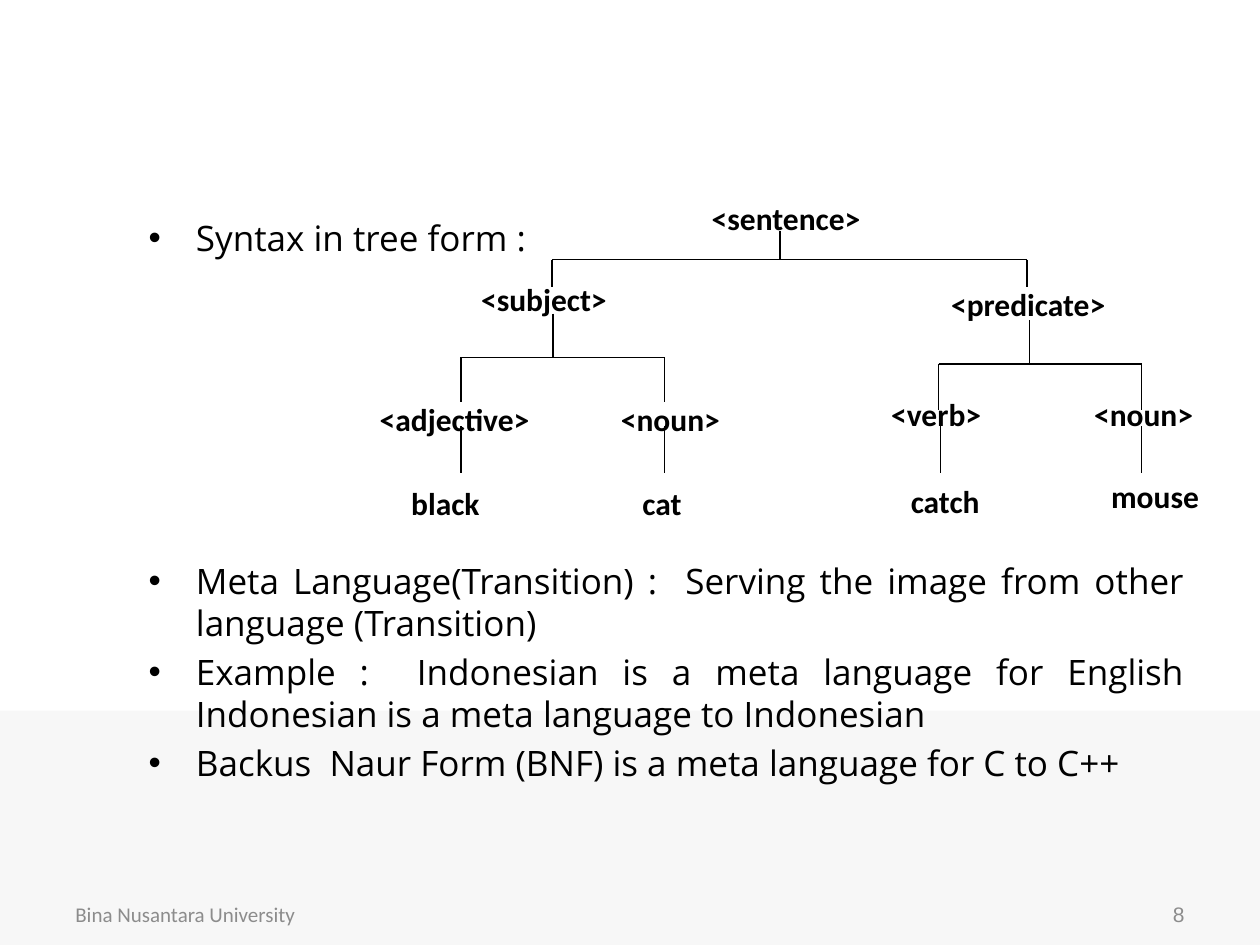
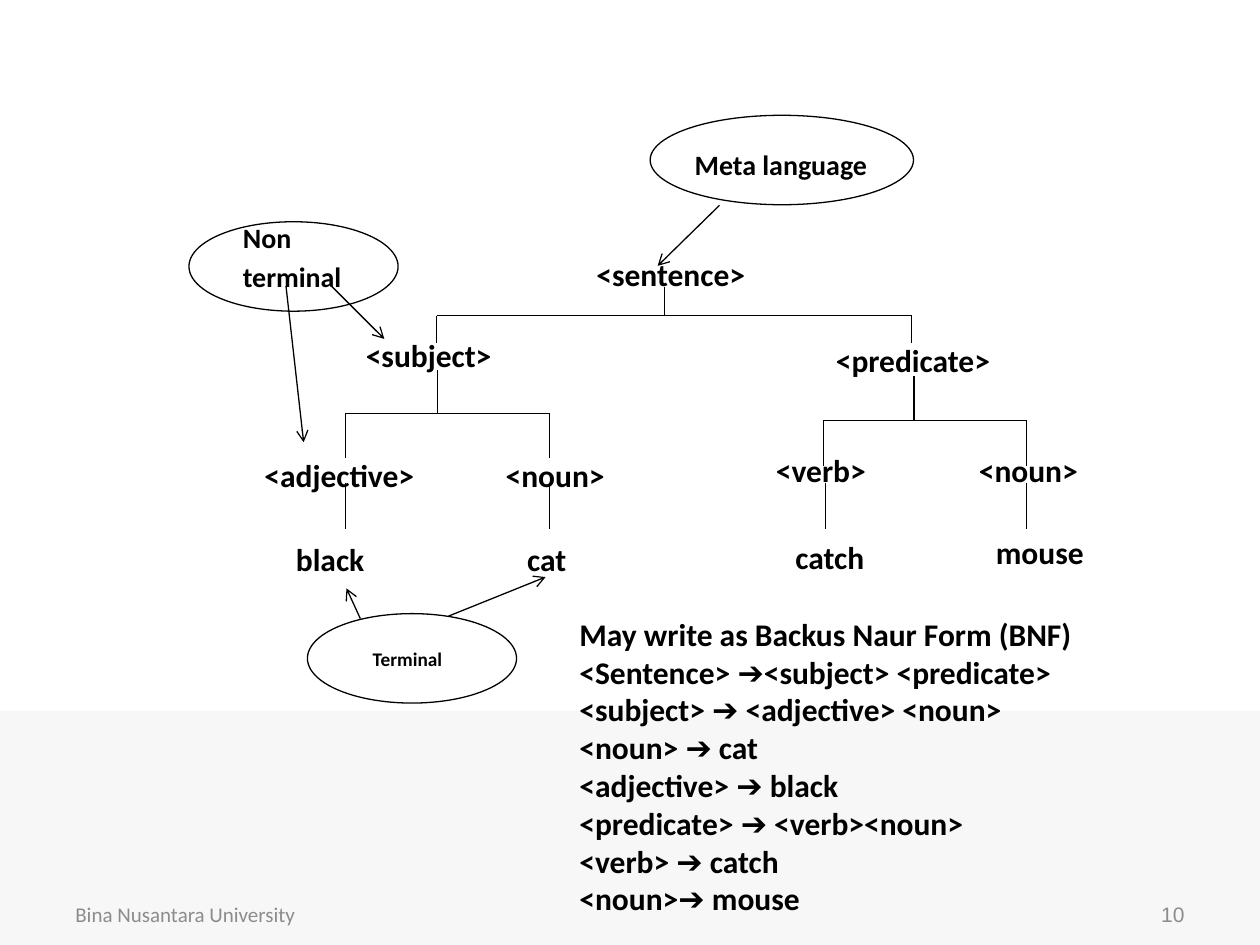
"""Build two slides that show a sentence's syntax tree and its Backus Naur Form."""
from dataclasses import dataclass

from lxml.etree import SubElement
from pptx import Presentation
from pptx.dml.color import RGBColor
from pptx.enum.shapes import MSO_CONNECTOR as Link, MSO_SHAPE as Preset
from pptx.enum.text import MSO_ANCHOR as Anchor, MSO_AUTO_SIZE as Fit, PP_ALIGN as Align
from pptx.oxml.ns import qn
from pptx.util import Inches, Pt

SLIDE_W, SLIDE_H = Inches(10), Inches(7.5)
COLUMNS, ROWS = 100, 75
INK, GREY, PALE = "000000", "8C8C8C", "F7F7F7"
HEADING, READING, NUMERALS = "Calibri", "Open Sans", "Arial"
LAYOUT_BULLETS, LAYOUT_BLANK = 1, 6


@dataclass(frozen=True)
class Area:
    left: float
    top: float
    width: float
    height: float

    def shifted(self, right: float, down: float) -> "Area":
        return Area(self.left + right, self.top + down, self.width, self.height)

    def emu(self) -> tuple:
        return col(self.left), row(self.top), col(self.width), row(self.height)


@dataclass(frozen=True)
class Label:
    words: str
    area: Area
    size: int = 18


@dataclass(frozen=True)
class Branch:
    stem: float
    top: float
    bar: float
    left: float
    right: float
    foot: float

    def strokes(self) -> list:
        drops = [(x, self.bar, x, self.foot) for x in (self.left, self.right)]
        return [(self.stem, self.top, self.stem, self.bar),
                (self.left, self.bar, self.right, self.bar), *drops]


@dataclass(frozen=True)
class Callout:
    oval: Area
    label: Label
    arrows: tuple


@dataclass(frozen=True)
class Point:
    words: str
    gap: int = 4
    align: Align = Align.JUSTIFY


SYMBOLS = (
    Label("<sentence>", Area(55.5, 14.85, 17.5, 1.8)),
    Label("<subject>", Area(37.2, 21.3, 14.6, 2.6)),
    Label("<predicate>", Area(74.5, 21.7, 17.5, 2.4)),
    Label("<adjective>", Area(29.15, 30.8, 15.1, 2.7)),
    Label("<noun>", Area(48.3, 30.8, 14.3, 3)),
    Label("<verb>", Area(69.75, 30.4, 10.3, 2.5)),
    Label("<noun>", Area(85.85, 30.4, 10.9, 2.4)),
    Label("black", Area(31.65, 37.5, 9.9, 4.7)),
    Label("cat", Area(50, 37.5, 6.1, 2.7)),
    Label("catch", Area(71.3, 37.3, 9.5, 4.1)),
    Label("mouse", Area(87.2, 36.95, 11.1, 4.4)),
)
BRANCHES = (
    Branch(61.9, 18.3, 20.6, 43.8, 81.5, 22.8),
    Branch(43.9, 24.9, 28.35, 36.6, 52.75, 31.9),
    Branch(81.7, 25.4, 28.9, 74.5, 90.6, 32.5),
)
WORD_STEMS, WORD_STEM_TOP, WORD_STEM_FOOT = (36.6, 52.75, 74.65, 90.6), 33.85, 37.5

CALLOUTS = (
    Callout(Area(51.6, 9.15, 20.9, 7.1),
            Label("Meta language", Area(54.15, 10.8, 19.2, 5.8), 16),
            ((57.1, 16.3, 52.2, 21.1),)),
    Callout(Area(15, 17.6, 16.6, 7.1),
            Label("Non terminal", Area(18.3, 16.65, 11, 2.6), 16),
            ((26.3, 22.7, 30.5, 26.9), (22.7, 22.7, 24.1, 35.1))),
    Callout(Area(24.4, 48.7, 16.6, 7.1),
            Label("Terminal", Area(28.6, 50.6, 8.6, 2.6), 11),
            ((28.6, 49.1, 27.5, 46.7), (35.6, 48.9, 43.3, 45.8))),
)
POINTS = (
    Point("Syntax in tree form :", 0, Align.LEFT),
    Point("Meta Language(Transition) :  Serving the image from other language (Transition)", 172),
    Point("Example :  Indonesian is a meta language for English\v"
          "Indonesian is a meta language to Indonesian"),
    Point("Backus  Naur Form (BNF) is a meta language for C to C++"),
)
GRAMMAR = (
    "May write as Backus Naur Form (BNF)",
    "<Sentence> ➔<subject> <predicate>",
    "<subject> ➔ <adjective> <noun>",
    "<noun> ➔ cat",
    "<adjective> ➔ black",
    "<predicate> ➔ <verb><noun>",
    "<verb> ➔ catch",
    "<noun>➔ mouse",
)


def col(count: float) -> int:
    return round(SLIDE_W * count / COLUMNS)


def row(count: float) -> int:
    return round(SLIDE_H * count / ROWS)


def colour(code: str) -> RGBColor:
    return RGBColor.from_string(code)


def style(paragraph, size: float, face: str, code: str = INK, bold: bool = False) -> None:
    font = paragraph.font
    font.size, font.name, font.bold = Pt(size), face, bold
    font.color.rgb = colour(code)


def add_text(slide, area: Area, words: str):
    frame = slide.shapes.add_textbox(*area.emu()).text_frame
    frame.word_wrap = True
    frame.text = words
    return frame


def add_label(slide, label: Label, right: float = 0, down: float = 0) -> None:
    paragraph = add_text(slide, label.area.shifted(right, down), label.words).paragraphs[0]
    paragraph.line_spacing, paragraph.space_after = 1.15, Pt(10)
    style(paragraph, label.size, HEADING, bold=True)


def add_stroke(slide, ends: tuple, right: float = 0, down: float = 0, arrow: bool = False) -> None:
    x1, y1, x2, y2 = ends
    stroke = slide.shapes.add_connector(Link.STRAIGHT, col(x1 + right), row(y1 + down),
                                        col(x2 + right), row(y2 + down))
    stroke.line.color.rgb, stroke.line.width = colour(INK), Pt(0.75)
    if arrow:
        SubElement(stroke.element.spPr.find(qn("a:ln")), qn("a:tailEnd"), type="arrow")
    SubElement(stroke.element.spPr, qn("a:effectLst"))


def add_tree(slide, right: float = 0, down: float = 0) -> None:
    stems = [(x, WORD_STEM_TOP, x, WORD_STEM_FOOT) for x in WORD_STEMS]
    for ends in [*stems, *(ends for branch in BRANCHES for ends in branch.strokes())]:
        add_stroke(slide, ends, right, down)
    for symbol in SYMBOLS:
        add_label(slide, symbol, right, down)


def add_callout(slide, callout: Callout) -> None:
    oval = slide.shapes.add_shape(Preset.OVAL, *callout.oval.emu())
    oval.shadow.inherit = False
    oval.fill.background()
    oval.line.color.rgb, oval.line.width = colour(INK), Pt(0.75)
    add_label(slide, callout.label)
    for ends in callout.arrows:
        add_stroke(slide, ends, arrow=True)


def add_footer(slide, number: int) -> None:
    parts = ((5, "Bina Nusantara University", HEADING, Align.LEFT),
             (71.7, str(number), NUMERALS, Align.RIGHT))
    for left, words, face, align in parts:
        frame = add_text(slide, Area(left, 70.55, 23.3, 4), words)
        frame.vertical_anchor = Anchor.MIDDLE
        frame.paragraphs[0].alignment = align
        style(frame.paragraphs[0], 12, face, GREY)


def add_master_band(deck, slide) -> None:
    band = slide.shapes.add_shape(Preset.RECTANGLE, *Area(0, 56.4, 100, 18.6).emu())
    band.shadow.inherit = False
    band.fill.solid()
    band.fill.fore_color.rgb = colour(PALE)
    band.line.fill.background()
    band.element.nvSpPr.cNvPr.set("id", "20")
    deck.slide_master.shapes[0].element.addprevious(band.element)


def fill_points(body) -> None:
    body.left, body.top, body.width, body.height = Area(10.8, 16.7, 84.2, 52.5).emu()
    frame = body.text_frame
    frame.auto_size = Fit.NONE
    for index, point in enumerate(POINTS):
        paragraph = frame.add_paragraph() if index else frame.paragraphs[0]
        paragraph.text = point.words
        paragraph.space_before = Pt(point.gap)
        paragraph.alignment = point.align
        style(paragraph, 20, READING)


def add_grammar(slide) -> None:
    frame = add_text(slide, Area(45, 48.3, 52.2, 25.2), "\n".join(GRAMMAR))
    for paragraph in frame.paragraphs:
        style(paragraph, 18, HEADING, bold=True)


def main() -> None:
    deck = Presentation()
    deck.slide_width, deck.slide_height = SLIDE_W, SLIDE_H

    syntax = deck.slides.add_slide(deck.slide_layouts[LAYOUT_BULLETS])
    add_master_band(deck, syntax)
    heading = syntax.shapes.title.element
    heading.getparent().remove(heading)
    fill_points(syntax.placeholders[1])
    add_tree(syntax)
    add_footer(syntax, 8)

    notation = deck.slides.add_slide(deck.slide_layouts[LAYOUT_BLANK])
    add_tree(notation, right=-9.15, down=4.45)
    for callout in CALLOUTS:
        add_callout(notation, callout)
    add_grammar(notation)
    add_footer(notation, 10)

    deck.save("out.pptx")


if __name__ == "__main__":
    main()
